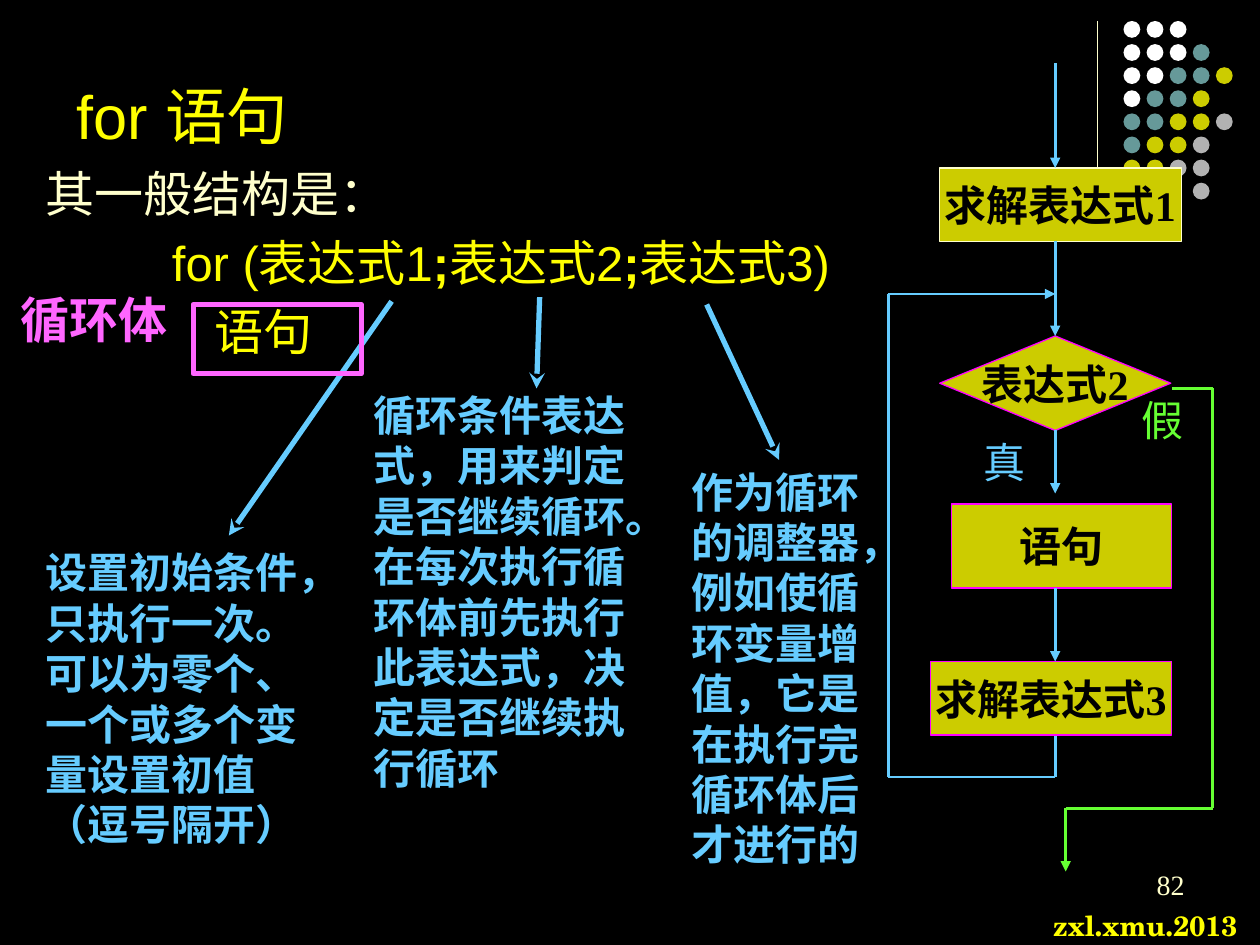
from dataclasses import dataclass
from itertools import pairwise

from pptx import Presentation
from pptx.dml.color import RGBColor as RGB
from pptx.enum.shapes import MSO_CONNECTOR as CONN, MSO_SHAPE as SHAPE
from pptx.enum.text import MSO_ANCHOR as ANCHOR, PP_ALIGN as ALIGN
from pptx.oxml.ns import qn
from pptx.util import Inches, Pt
from lxml.etree import SubElement


@dataclass(frozen=True)
class Theme:
    back: str = "000000"
    ink: str = "000000"
    white: str = "FFFFFF"
    cream: str = "FFFFCC"
    yellow: str = "FFFF00"
    olive: str = "CCCC00"
    teal: str = "669999"
    grey: str = "B2B2B2"
    sky: str = "66CCFF"
    green: str = "66FF33"
    pink: str = "FF66FF"
    magenta: str = "FF00FF"
    sans: str = "Arial"
    serif: str = "Times New Roman"
    school: str = "TeX Gyre Schola"
    title: int = 35
    head: int = 28
    body: int = 24
    small: int = 16
    hair: float = 0.75
    thin: float = 1.5
    thick: float = 3


T = Theme()
COLS, ROWS = 120, 90


def rgb(color):
    return RGB.from_string(color)


def write(p, text, size=T.body, color=T.sky, font=T.sans, bold=False):
    r = p.add_run()
    r.text = text
    f = r.font
    f.name, f.size, f.bold = font, Pt(size), bold
    f.color.rgb = rgb(color)


class Board:
    """A slide whose lengths are columns and rows of a 120 by 90 grid."""

    def __init__(self, prs):
        self.w, self.h = prs.slide_width, prs.slide_height
        self.s = prs.slides.add_slide(prs.slide_layouts[6])
        fill = self.s.background.fill
        fill.solid()
        fill.fore_color.rgb = rgb(T.back)

    def emu(self, *cells):
        """Turn alternating columns and rows into slide lengths."""
        scale = self.w / COLS, self.h / ROWS
        return [round(c * scale[i % 2]) for i, c in enumerate(cells)]

    def text(self, at, text="", align=ALIGN.LEFT, anchor=ANCHOR.TOP, wrap=True, **fmt):
        tf = self.s.shapes.add_textbox(*self.emu(*at)).text_frame
        tf.word_wrap, tf.vertical_anchor = wrap, anchor
        tf.paragraphs[0].alignment = align
        if text:
            write(tf.paragraphs[0], text, **fmt)
        return tf

    def shape(self, kind, at, fill=None, line=None, width=T.hair, text=""):
        sp = self.s.shapes.add_shape(kind, *self.emu(*at))
        sp.shadow.inherit = False
        if fill:
            sp.fill.solid()
            sp.fill.fore_color.rgb = rgb(fill)
        else:
            sp.fill.background()
        if line:
            sp.line.color.rgb = rgb(line)
            sp.line.width = Pt(width)
        else:
            sp.line.fill.background()
        if text:
            tf = sp.text_frame
            tf.word_wrap, tf.vertical_anchor = False, ANCHOR.MIDDLE
            tf.paragraphs[0].alignment = ALIGN.CENTER
            write(tf.paragraphs[0], text, color=T.ink, font=T.serif, bold=True)

    def route(self, *points, color=T.sky, width=T.thin, head="triangle"):
        """Join the points with lines; the last one carries the arrowhead."""
        for start, end in pairwise(points):
            c = self.s.shapes.add_connector(CONN.STRAIGHT, *self.emu(*start, *end))
            c.line.color.rgb = rgb(color)
            c.line.width = Pt(width)
            sp_pr = c.line._get_or_add_ln().getparent()
            SubElement(sp_pr, qn("a:effectLst"))
        if head:
            SubElement(c.line._get_or_add_ln(), qn("a:tailEnd"), type=head)

    def dots(self, left, top, pitch, size, rows, colors):
        for j, row in enumerate(rows):
            for i, key in enumerate(row):
                if key in colors:
                    at = left + i * pitch, top + j * pitch, size, size
                    self.shape(SHAPE.OVAL, at, fill=colors[key])


def draw_decor(b):
    b.route((104.5, 2), (104.5, 22), color=T.cream, width=T.hair, head=None)
    b.dots(107, 2, 2.2, 1.6,
           ["WWW", "WWWT", "WWTTY", "WTTY", "TTYYG", "TYYG", "YYGG", "   G"],
           {"W": T.white, "T": T.teal, "Y": T.olive, "G": T.grey})
    b.text((99.1, 85.9, 20.9, 4.4), "zxl.xmu.2013", wrap=False,
           size=T.small, color=T.yellow, font=T.school, bold=True)
    b.text((86, 82, 28, 6), "82", align=ALIGN.RIGHT,
           size=T.small, color=T.cream, font=T.serif)


def draw_syntax(b):
    tf = b.text((3.2, 15, 85, 20.3), "其一般结构是：", size=T.head, color=T.cream)
    code = ["for (表达式1", ";", "表达式2", ";", "表达式3)"]
    for indent, parts in ((1, code), (1.34, ["语句"])):
        p = tf.add_paragraph()
        p.space_before = Pt(T.head * 0.2)
        p._p.get_or_add_pPr().set("marL", str(Inches(indent)))
        for part in parts:
            write(p, part, size=T.head, color=T.yellow, bold=part == ";")


def draw_flowchart(b):
    axis = 100.5
    b.route((111.6, 37), (115.5, 37), (115.5, 77), (101.5, 77), (101.5, 83),
            color=T.green)
    b.route((axis, 70), (axis, 74), (84.6, 74), (84.6, 28), (axis, 28))
    box, test = SHAPE.FLOWCHART_PROCESS, SHAPE.FLOWCHART_DECISION
    steps = [
        (box, (89.5, 16, 23, 7), T.cream, "求解表达式1", 6, 16),
        (test, (89.5, 32, 22, 9), T.magenta, "表达式2", 23, 32),
        (box, (90.6, 48, 21, 8), T.magenta, "语句", 41, 47),
        (box, (88.6, 63, 23, 7), T.magenta, "求解表达式3", 56, 63),
    ]
    for kind, at, line, text, start, end in steps:
        b.shape(kind, at, fill=T.olive, line=line, text=text)
        b.route((axis, start), (axis, end))
    b.text((92.5, 41, 11, 6), "真")
    b.text((107.5, 37, 8, 6), "假", color=T.green)


def draw_notes(b):
    b.shape(SHAPE.RECTANGLE, (18.4, 29, 16, 6.6), line=T.pink, width=T.thick)
    b.text((-0.4, 27, 18.7, 6.8), "循环体", align=ALIGN.CENTER,
           size=T.head, color=T.pink, bold=True)
    notes = [
        ((3.2, 51.5, 29.3, 30.2),
         "设置初始条件，只执行一次。可以为零个、一个或多个变量设置初值（逗号隔开）"),
        ((34.4, 36.5, 27.6, 40),
         "循环条件表达式，用来判定是否继续循环。在每次执行循环体前先执行此表达式，"
         "决定是否继续执行循环"),
        ((64.7, 43.8, 18.8, 40),
         "作为循环的调整器，例如使循环变量增值，它是在执行完循环体后才进行的"),
    ]
    for at, text in notes:
        b.text(at, text, bold=True)


def main():
    prs = Presentation()
    prs.slide_width, prs.slide_height = Inches(10), Inches(7.5)
    b = Board(prs)
    draw_decor(b)
    draw_syntax(b)
    pointers = [((37.3, 28.7), (21.8, 51)), ((51.4, 28.3), (51.1, 37)),
                ((67.3, 29), (74.2, 43.8))]
    for start, end in pointers:
        b.route(start, end, width=T.thick, head="stealth")
    draw_flowchart(b)
    b.text((6.1, 0, 99, 15), "for 语句", anchor=ANCHOR.BOTTOM,
           size=T.title, color=T.yellow)
    draw_notes(b)
    prs.save("out.pptx")


if __name__ == "__main__":
    main()
